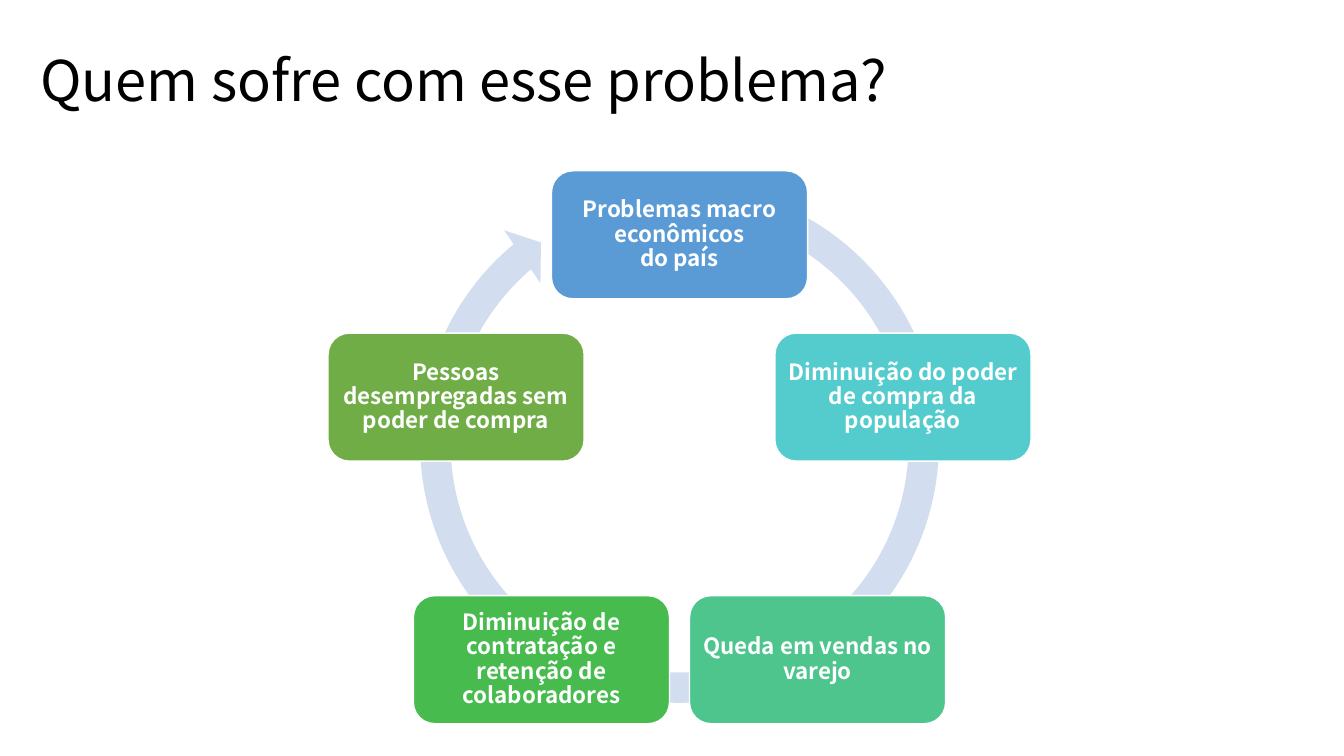
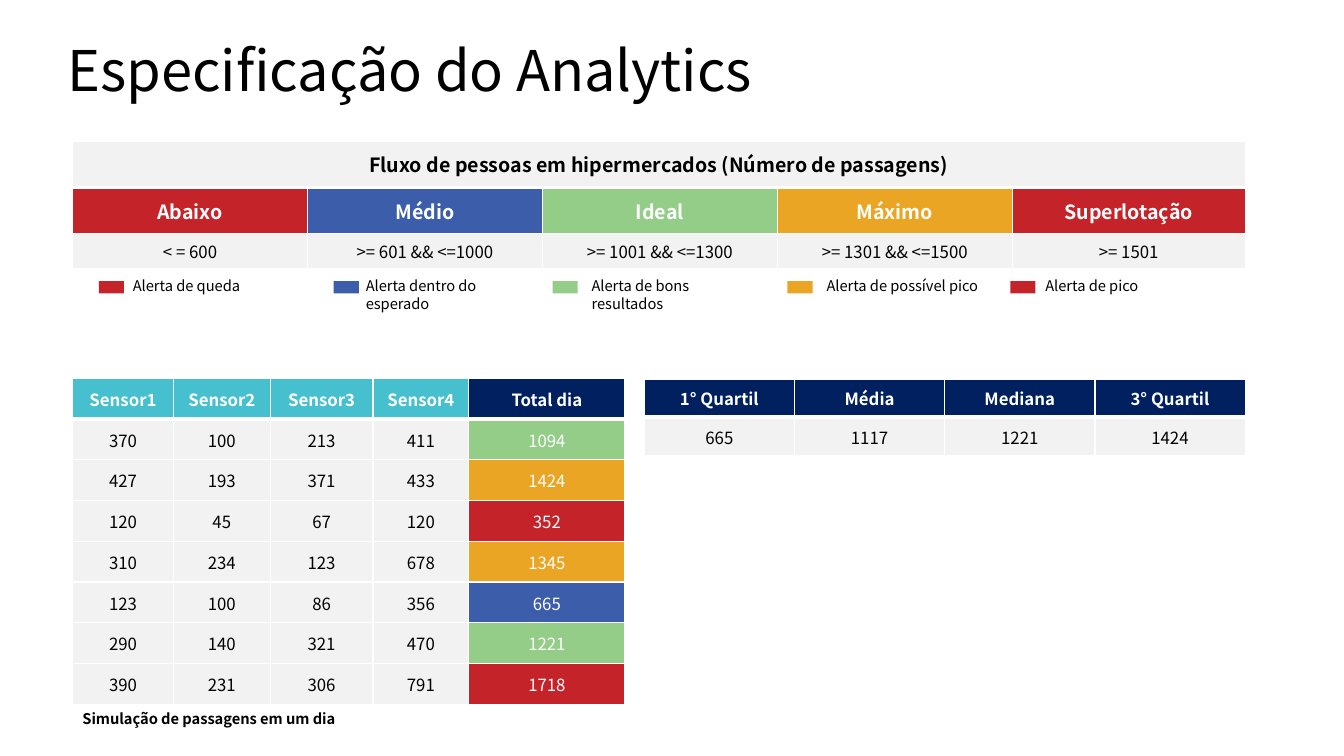
from dataclasses import dataclass
from math import cos, pi, sin

from lxml import etree
from pptx import Presentation
from pptx.dml.color import RGBColor
from pptx.enum.shapes import MSO_SHAPE
from pptx.enum.text import MSO_ANCHOR, MSO_AUTO_SIZE, PP_ALIGN
from pptx.oxml.ns import qn
from pptx.util import Inches, Pt

LEFT, CENTER = PP_ALIGN.LEFT, PP_ALIGN.CENTER
MIDDLE = MSO_ANCHOR.MIDDLE
RECT, ROUND = MSO_SHAPE.RECTANGLE, MSO_SHAPE.ROUNDED_RECTANGLE
ARROW = MSO_SHAPE.CIRCULAR_ARROW
FIXED = MSO_AUTO_SIZE.NONE


@dataclass(frozen=True)
class Theme:
    font: str = "Noto Sans CJK SC"
    black: str = "000000"
    white: str = "FFFFFF"
    pale: str = "F2F2F2"
    ring: str = "D2DEEF"
    red: str = "C5232A"
    blue: str = "3C5DAA"
    green: str = "93CD88"
    amber: str = "EBA524"
    teal: str = "46C0CF"
    navy: str = "002060"
    title: float = 40
    box: float = 16
    head: float = 14
    cell: float = 12
    note: float = 10.5


T = Theme()


def style(frame, size, color=T.black, bold=False, align=LEFT, space=None):
    frame.word_wrap = True
    for para in frame.paragraphs:
        para.alignment = align
        para.line_spacing = space
        for run in para.runs:
            run.font.name = T.font
            run.font.size = Pt(size)
            run.font.bold = bold
            run.font.color.rgb = RGBColor.from_string(color)


def grid(slide, left, top, cols, highs, rows, fills, heads=1, size=T.cell, tight=True):
    """Add a table with white rules, the one below its first row being thick."""
    table = slide.shapes.add_table(
        len(rows), len(cols), Inches(left), Inches(top),
        Inches(sum(cols)), Inches(sum(highs))).table
    table.horz_banding = False
    for col, wide in zip(table.columns, cols):
        col.width = Inches(wide)
    for row, high in zip(table.rows, highs):
        row.height = Inches(high)
    for r, texts in enumerate(rows):
        for c, text in enumerate(texts):
            cell = table.cell(r, c)
            props = cell._tc.get_or_add_tcPr()
            for side in "LRTB":
                thick = (r, side) in ((0, "B"), (1, "T"))
                line = etree.SubElement(props, qn(f"a:ln{side}"), w=str(Pt(3 if thick else 1)))
                paint = etree.SubElement(line, qn("a:solidFill"))
                etree.SubElement(paint, qn("a:srgbClr"), val=T.white)
            cell.fill.solid()
            cell.fill.fore_color.rgb = RGBColor.from_string(fills[r][c])
            cell.vertical_anchor = MIDDLE
            if tight:
                cell.margin_left = cell.margin_right = cell.margin_top = Inches(0.01)
                cell.margin_bottom = 0
            cell.text_frame.text = str(text)
            style(cell.text_frame, size if r < heads else T.cell,
                  T.black if fills[r][c] == T.pale else T.white, r < heads, CENTER)
    return table


deck = Presentation()
deck.slide_width, deck.slide_height = Inches(13.33), Inches(7.5)
layout = deck.slide_layouts[5]
slides = []
for text, left, top in (("Quem sofre com esse problema?", 0.3, 0.1),
                        ("Especificação do Analytics", 0.57, 0)):
    slide = deck.slides.add_slide(layout)
    title = slide.shapes.title
    title.left, title.top = Inches(left), Inches(top)
    title.width, title.height = Inches(11.5), Inches(1.45)
    title.text_frame.text = text
    title.text_frame.auto_size = FIXED
    title.text_frame.vertical_anchor = MIDDLE
    style(title.text_frame, T.title, space=0.9)
    slides.append(slide)
cycle, stats = slides

# Cycle of five causes, clockwise from the top
ring = cycle.shapes.add_shape(ARROW, Inches(4), Inches(1.66), Inches(5.48), Inches(5.48))
for i, value in enumerate((0.055, 3.307, 137.948, 173.745, 0.058)):
    ring.adjustments[i] = value
ring.shadow.inherit = False
ring.fill.solid()
ring.fill.fore_color.rgb = RGBColor.from_string(T.ring)
ring.line.fill.background()

causes = (
    ("Problemas macro econômicos\vdo país", "5B9BD5"),
    ("Diminuição do poder de compra da população", "54CCCD"),
    ("Queda em vendas no varejo", "4DC58D"),
    ("Diminuição de contratação e retenção de colaboradores", "48BB4F"),
    ("Pessoas desempregadas sem poder de compra", "70AD47"),
)
mid_x, mid_y, radius = 6.74, 4.66, 2.33
wide, high = 2.54, 1.27
for i, (text, color) in enumerate(causes):
    angle = 2 * pi * i / len(causes)
    box = cycle.shapes.add_shape(
        ROUND, Inches(mid_x + radius * sin(angle) - wide / 2),
        Inches(mid_y - radius * cos(angle) - high / 2), Inches(wide), Inches(high))
    box.shadow.inherit = False
    box.fill.solid()
    box.fill.fore_color.rgb = RGBColor.from_string(color)
    box.line.color.rgb = RGBColor.from_string(T.white)
    box.line.width = Pt(1)
    frame = box.text_frame
    frame.margin_left = frame.margin_right = Inches(0.07)
    frame.margin_top = frame.margin_bottom = Inches(0.07)
    frame.vertical_anchor = MIDDLE
    frame.text = text
    style(frame, T.box, T.white, True, CENTER, 0.9)

# Flow levels: name, range, upper limit, colour
levels = (
    ("Abaixo", "< = 600", 600, T.red),
    ("Médio", ">= 601 && <=1000", 1000, T.blue),
    ("Ideal", ">= 1001 && <=1300", 1300, T.green),
    ("Máximo", ">= 1301 && <=1500", 1500, T.amber),
    ("Superlotação", ">= 1501", float("inf"), T.red),
)
names, spans, limits, colors = zip(*levels)
head = ["Fluxo de pessoas em hipermercados (Número de passagens)"] + [""] * 4
flow = grid(stats, 0.72, 1.4, [2.33] * 4 + [2.31], [0.46, 0.46, 0.33],
            [head, names, spans], [[T.pale] * 5, colors, [T.pale] * 5],
            heads=2, size=T.head, tight=False)
flow.cell(0, 0).merge(flow.cell(0, 4))

# Legend swatches, then the small texts
for left, color in zip((0.98, 3.31, 5.48, 7.81, 10.02), colors):
    swatch = stats.shapes.add_shape(RECT, Inches(left), Inches(2.79), Inches(0.25), Inches(0.12))
    swatch.shadow.inherit = False
    swatch.fill.solid()
    swatch.fill.fore_color.rgb = RGBColor.from_string(color)
    swatch.line.fill.background()

notes = (
    ("Alerta de queda", 1.22, 2.7, 1.33, False),
    ("Alerta dentro do esperado", 3.53, 2.7, 1.92, False),
    ("Alerta de bons resultados", 5.77, 2.7, 1.77, False),
    ("Alerta de possível pico", 8.1, 2.7, 1.77, False),
    ("Alerta de pico", 10.27, 2.7, 1.33, False),
    ("Simulação de passagens em um dia", 0.72, 6.99, 3, True),
)
for text, left, top, width, bold in notes:
    note = stats.shapes.add_textbox(Inches(left), Inches(top), Inches(width), Inches(0.28))
    note.text_frame.text = text
    style(note.text_frame, T.note, bold=bold)

# Sensor counts, with each day's total coloured by its level
counts = (
    (370, 100, 213, 411),
    (427, 193, 371, 433),
    (120, 45, 67, 120),
    (310, 234, 123, 678),
    (123, 100, 86, 356),
    (290, 140, 321, 470),
    (390, 231, 306, 791),
)
rows = [[f"Sensor{n}" for n in range(1, 5)] + ["Total dia"]]
fills = [[T.teal] * 4 + [T.navy]]
for count in counts:
    total = sum(count)
    rows.append([*count, total])
    tint = next(color for limit, color in zip(limits, colors) if total <= limit)
    fills.append([T.pale] * 4 + [tint])
grid(stats, 0.72, 3.75, [1, 0.96, 1.02, 0.95, 1.55], [0.405] * len(rows), rows, fills)

grid(stats, 6.39, 3.76, [1.49] * 4, [0.38] * 2,
     [["1° Quartil", "Média", "Mediana", "3° Quartil"], [665, 1117, 1221, 1424]],
     [[T.navy] * 4, [T.pale] * 4])

deck.save("out.pptx")
